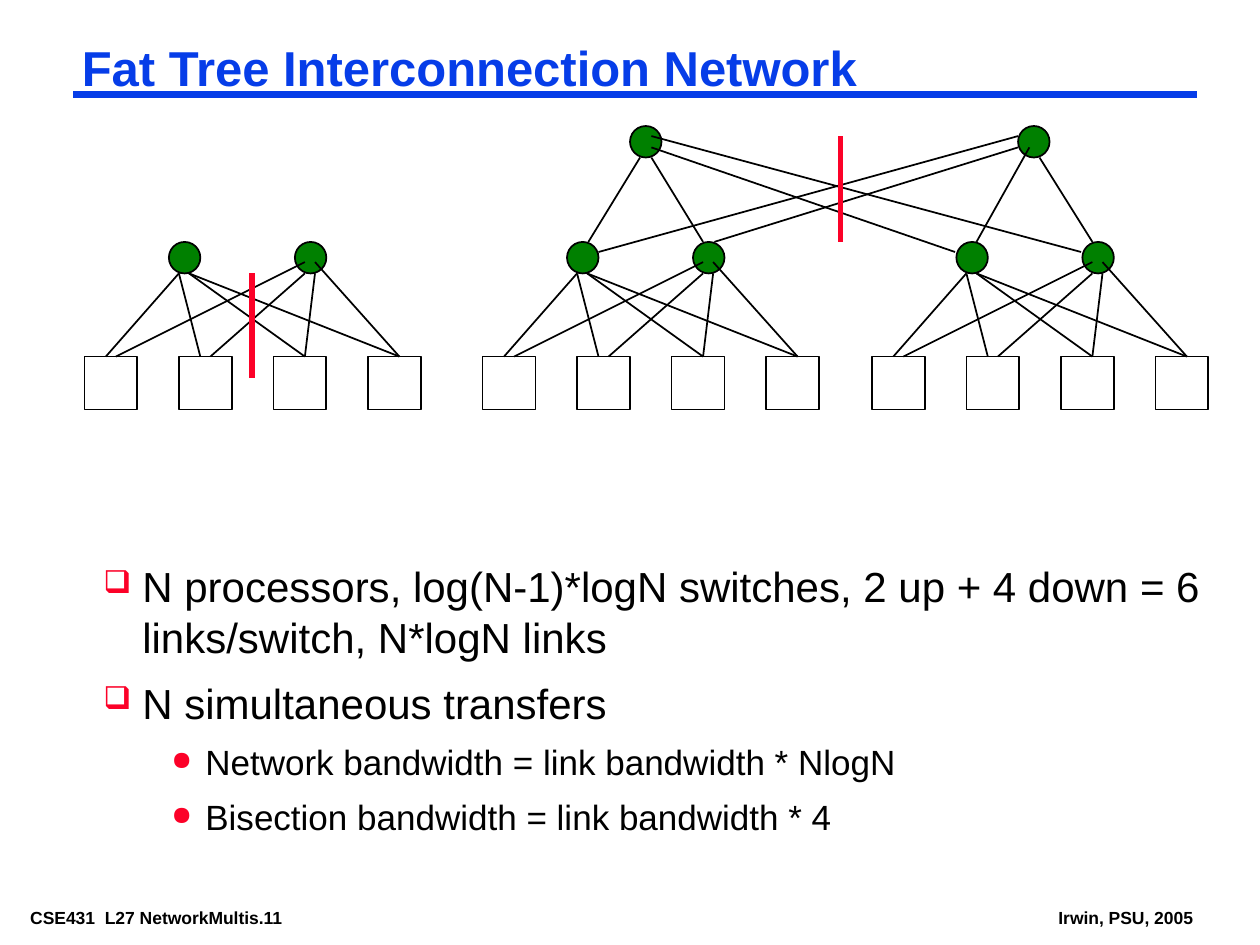
from dataclasses import dataclass

from lxml.etree import SubElement as Sub
from pptx import Presentation
from pptx.dml.color import RGBColor as Rgb
from pptx.enum.shapes import MSO_CONNECTOR as Conn, MSO_SHAPE as Kind
from pptx.oxml.ns import qn
from pptx.util import Inches, Pt

HUES = {"blue": "063DE8", "red": "FC0128", "green": "008000", "black": "000000"}
NODE = 0.25
BOX = 0.42
NODE_Y = 1.92
BOX_Y = 2.83


@dataclass
class Link:
    x1: float
    y1: float
    x2: float
    y2: float
    hue: str = "black"
    width: float = 1


@dataclass
class Label:
    text: str
    x: float
    y: float
    w: float
    h: float
    size: float
    hue: str = "black"
    wrap: bool = False
    space: float = 1


@dataclass
class Item:
    text: str
    size: float
    level: int
    mark: str
    left: float
    hang: float
    gap: float


TREES = [0.67, 3.83, 6.92]
BOXES = [0.75 * i for i in range(4)]
NODES = [0.67, 1.67]
ROOTS = [5, 8.08]
WIRES = [
    Link(1.75, BOX_Y, 0.83, 2.17),
    Link(2.5, BOX_Y, 0.83, 2.17),
    Link(0.17, BOX_Y, 0.75, 2.17),
    Link(0.92, BOX_Y, 0.75, 2.17),
    Link(0.25, BOX_Y, 1.75, 2.08),
    Link(1, BOX_Y, 1.75, 2.17),
    Link(1.83, 2.17, 1.75, BOX_Y),
    Link(1.83, 2.08, 2.5, BOX_Y),
]
TRUNKS = [
    Link(4.67, 1.92, 5.08, 1.25),
    Link(5.58, 1.92, 5.17, 1.25),
    Link(7.58, 2, 5.17, 1.17),
    Link(8.58, 2, 5.17, 1.08),
    Link(5.67, 1.92, 8.08, 1.17),
    Link(4.75, 2, 8.08, 1.08),
    Link(7.75, 1.92, 8.17, 1.17),
    Link(8.67, 1.92, 8.25, 1.25),
]
CUTS = [
    Link(2, 2.17, 2, 3, "red", 3),
    Link(6.67, 1.08, 6.67, 1.92, "red", 3),
]
LABELS = [
    Label("CSE431  L27 NetworkMultis.11", 0.17, 7.17, 2.66, 0.22, 10),
    Label("Irwin, PSU, 2005", 8.33, 7.17, 1.21, 0.22, 10),
    Label("Fat Tree Interconnection Network", 0.58, 0.33, 7.08, 0.46, 28,
          "blue", True, 0.87),
]
ITEMS = [
    Item("N processors, log(N-1)*logN switches, 2 up + 4 down = 6 "
         "links/switch, N*logN links", 24, 0, "❑", 0.31, 0.31, 9),
    Item("N simultaneous transfers", 24, 0, "❑", 0.31, 0.31, 9),
    Item("Network bandwidth = link bandwidth * NlogN", 20, 1, "●", 0.81, 0.27, 7.5),
    Item("Bisection bandwidth = link bandwidth * 4", 20, 1, "●", 0.81, 0.27, 7.5),
]


def color(hue: str) -> Rgb:
    return Rgb.from_string(HUES[hue])


def draw_link(slide, link: Link, dx: float = 0) -> None:
    line = slide.shapes.add_connector(
        Conn.STRAIGHT, Inches(link.x1 + dx), Inches(link.y1),
        Inches(link.x2 + dx), Inches(link.y2))
    line.line.color.rgb = color(link.hue)
    line.line.width = Pt(link.width)
    Sub(line._element.spPr, qn("a:effectLst"))


def draw_shape(slide, kind: Kind, x: float, y: float, side: float, hue: str = "") -> None:
    shape = slide.shapes.add_shape(kind, Inches(x), Inches(y), Inches(side), Inches(side))
    shape.shadow.inherit = False
    shape.line.color.rgb = color("black")
    shape.line.width = Pt(1)
    if hue:
        shape.fill.solid()
        shape.fill.fore_color.rgb = color(hue)
    else:
        shape.fill.background()


def draw_tree(slide, x: float) -> None:
    for dx in BOXES:
        draw_shape(slide, Kind.RECTANGLE, x + dx, BOX_Y, BOX)
    for dx in NODES:
        draw_shape(slide, Kind.OVAL, x + dx, NODE_Y, NODE, "green")
    for wire in WIRES:
        draw_link(slide, wire, x)


def add_frame(slide, x: float, y: float, w: float, h: float, wrap: bool):
    frame = slide.shapes.add_textbox(Inches(x), Inches(y), Inches(w), Inches(h)).text_frame
    frame.margin_left = frame.margin_right = Inches(0.07)
    frame.margin_top = frame.margin_bottom = Inches(0.03)
    frame.word_wrap = wrap
    return frame


def style(para, size: float, hue: str, bold: bool) -> None:
    for run in para.runs:
        run.font.name = "Arial"
        run.font.size = Pt(size)
        run.font.bold = bold
        run.font.color.rgb = color(hue)


def draw_label(slide, label: Label) -> None:
    frame = add_frame(slide, label.x, label.y, label.w, label.h, label.wrap)
    frame.text = label.text
    para = frame.paragraphs[0]
    if label.space != 1:
        para.line_spacing = label.space
    style(para, label.size, label.hue, True)


def add_mark(para, item: Item) -> None:
    props = para._p.get_or_add_pPr()
    props.set("marL", str(Inches(item.left)))
    props.set("indent", str(-Inches(item.hang)))
    tint = Sub(props, qn("a:buClr"))
    Sub(tint, qn("a:srgbClr"), val=HUES["red"])
    Sub(props, qn("a:buSzPct"), val="75000")
    Sub(props, qn("a:buChar"), char=item.mark)


def draw_list(slide) -> None:
    frame = add_frame(slide, 0.75, 4.42, 8.96, 2.26, True)
    frame.text = "\n".join(item.text for item in ITEMS)
    for para, item in zip(frame.paragraphs, ITEMS):
        para.level = item.level
        para.space_before = Pt(item.gap)
        add_mark(para, item)
        style(para, item.size, "black", False)


def main() -> None:
    deck = Presentation()
    deck.slide_width, deck.slide_height = Inches(10), Inches(7.5)
    slide = deck.slides.add_slide(deck.slide_layouts[6])
    draw_link(slide, Link(0.58, 0.75, 9.5, 0.75, "blue", 4.5))
    for label in LABELS:
        draw_label(slide, label)
    draw_list(slide)
    for x in TREES:
        draw_tree(slide, x)
    for x in ROOTS:
        draw_shape(slide, Kind.OVAL, x, 1, NODE, "green")
    for link in TRUNKS + CUTS:
        draw_link(slide, link)
    deck.save("out.pptx")


if __name__ == "__main__":
    main()
